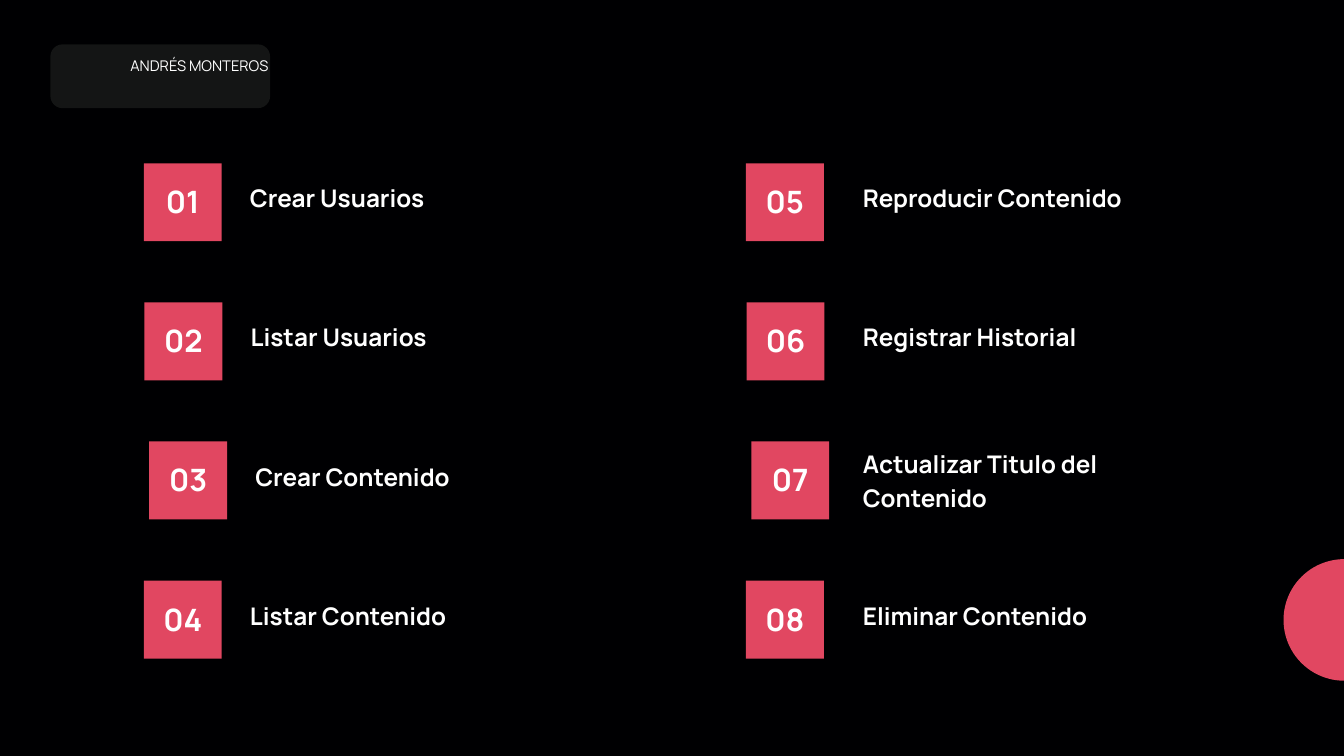
from pptx import Presentation
from pptx.dml.color import RGBColor
from pptx.enum.shapes import MSO_SHAPE as SHAPE
from pptx.enum.text import MSO_AUTO_SIZE as AUTO, PP_ALIGN as ALIGN
from pptx.oxml.ns import qn
from pptx.util import Inches, Pt
from lxml import etree

COLORS = {"background": "000002", "accent": "E14761", "tag": "191B1A", "text": "FFFFFF"}
FONT = "Manrope"

FIRST_TOP, ROW_STEP, SQUARE = 2.43, 2.07, 1.16
ROW_SHIFTS = [0, 0.01, 0.08, 0]

# Each column: square left, label left, label width, label follows row shift, labels
COLUMNS = [
    (2.14, 3.72, 5.33, True,
     ["Crear Usuarios", "Listar Usuarios", "Crear Contenido", "Listar Contenido"]),
    (11.1, 12.84, 5.26, False,
     ["Reproducir Contenido", "Registrar Historial",
      "Actualizar Titulo del Contenido", "Eliminar Contenido"]),
]
TWO_LINE_LABEL = "Actualizar Titulo del Contenido"


def color(name):
    return RGBColor.from_string(COLORS[name])


def add_block(slide, shape, left, top, width, height, fill):
    sp = slide.shapes.add_shape(shape, Inches(left), Inches(top),
                                Inches(width), Inches(height))
    sp.shadow.inherit = False
    sp.fill.solid()
    sp.fill.fore_color.rgb = color(fill)
    sp.line.fill.background()
    return sp


def add_text(slide, text, left, top, width, height, size, spacing,
             bold=True, align=ALIGN.LEFT):
    sp = slide.shapes.add_textbox(Inches(left), Inches(top),
                                  Inches(width), Inches(height))
    tf = sp.text_frame
    tf.margin_left = tf.margin_top = tf.margin_right = tf.margin_bottom = 0
    tf.word_wrap = True
    tf.auto_size = AUTO.SHAPE_TO_FIT_TEXT
    p = tf.paragraphs[0]
    p.text = text
    p.alignment = align
    p.line_spacing = Pt(spacing)
    font = p.runs[0].font
    font.name, font.size, font.bold = FONT, Pt(size), bold
    font.color.rgb = color("text")


def add_item(slide, number, label, left, label_left, label_width, top):
    add_block(slide, SHAPE.RECTANGLE, left, top, SQUARE, SQUARE, "accent")
    add_text(slide, f"{number:02d}", left + 0.08, top + 0.2, 1, 0.65,
             33, 46.2, align=ALIGN.CENTER)
    offset, height = (0.05, 1) if label == TWO_LINE_LABEL else (0.23, 0.5)
    add_text(slide, label, label_left, top + offset, label_width, height, 26, 36.4)


def add_name_tag(slide):
    tag = add_block(slide, SHAPE.ROUNDED_RECTANGLE, 0.75, 0.66, 3.27, 0.95, "tag")
    tag.adjustments[0] = 0.19
    # 80 % opacity
    srgb = tag.fill._xPr.find(qn("a:solidFill")).find(qn("a:srgbClr"))
    etree.SubElement(srgb, qn("a:alpha")).set("val", "80000")
    add_text(slide, "ANDRÉS MONTEROS", 1.94, 0.8, 2.07, 0.61, 15.8, 22.2, bold=False)


def main():
    prs = Presentation()
    prs.slide_width, prs.slide_height = Inches(20), Inches(11.25)
    slide = prs.slides.add_slide(prs.slide_layouts[6])
    slide.background.fill.solid()
    slide.background.fill.fore_color.rgb = color("background")

    # Circle at the right edge
    add_block(slide, SHAPE.OVAL, 19.1, 8.32, 1.81, 1.81, "accent")

    # Numbered items, numbered down each column
    for col, (left, label_left, width, follows, labels) in enumerate(COLUMNS):
        for row, (label, shift) in enumerate(zip(labels, ROW_SHIFTS)):
            add_item(slide, col * len(labels) + row + 1, label, left + shift,
                     label_left + (shift if follows else 0), width,
                     FIRST_TOP + row * ROW_STEP)

    # Author tag
    add_name_tag(slide)
    prs.save("out.pptx")


if __name__ == "__main__":
    main()
